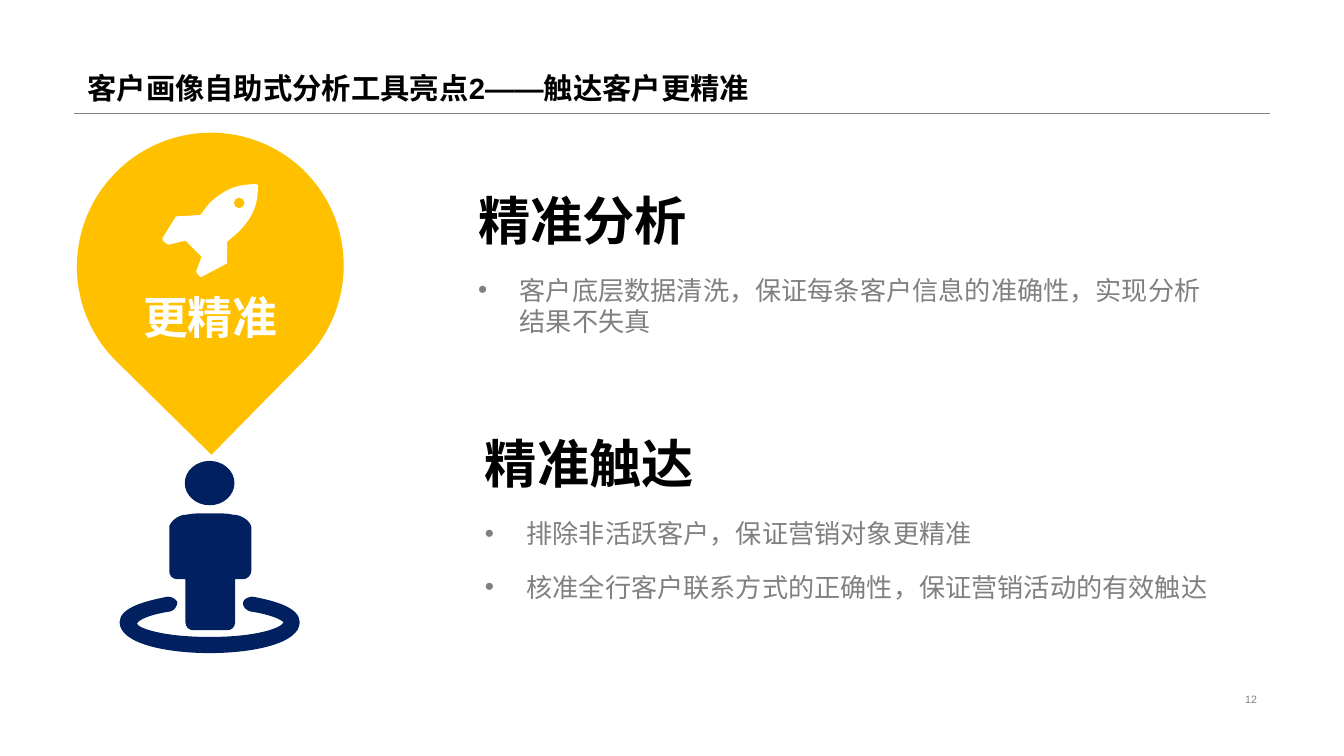
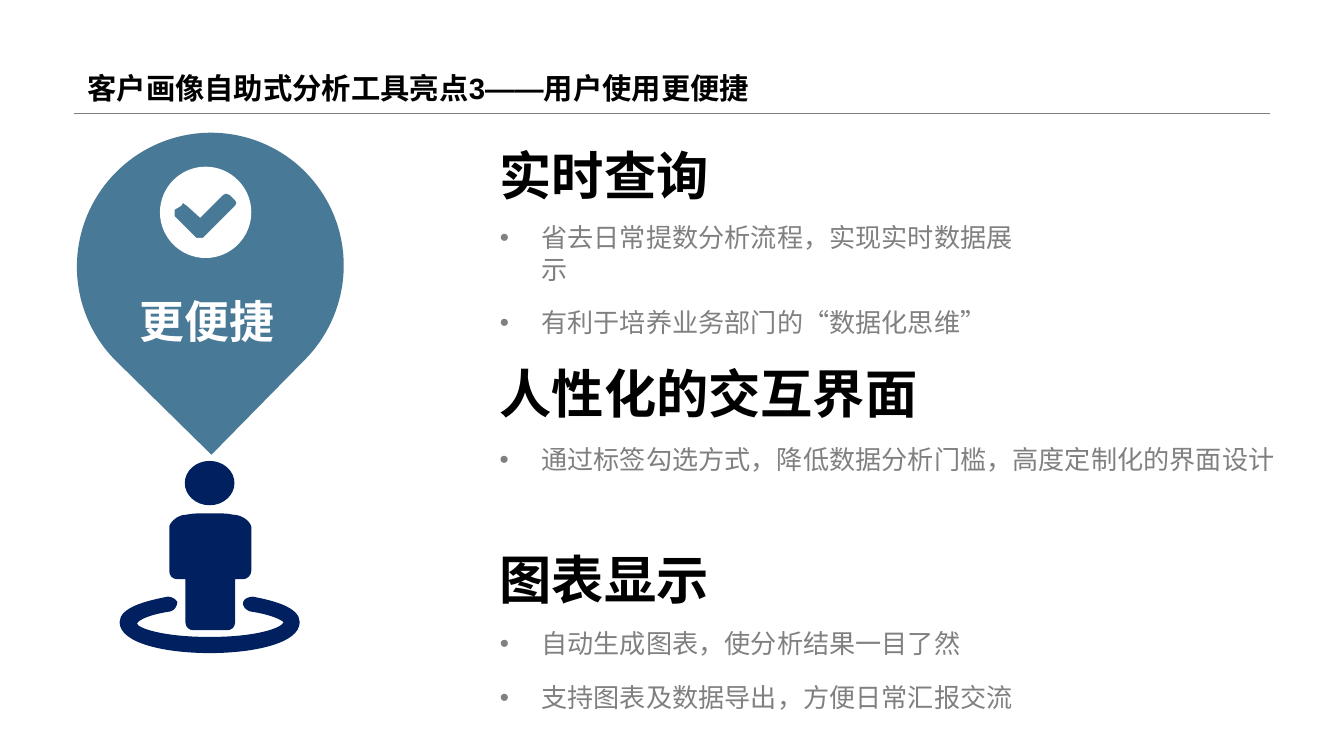
from pptx import Presentation
from pptx.dml.color import RGBColor
from pptx.enum.shapes import MSO_CONNECTOR, MSO_SHAPE
from pptx.enum.text import MSO_ANCHOR, MSO_AUTO_SIZE, PP_ALIGN
from pptx.oxml.ns import qn
from pptx.util import Emu, Inches, Pt

COLORS = {
    "black": "000000",
    "white": "FFFFFF",
    "gray": "808080",
    "navy": "002060",
    "yellow": "FFC000",
    "blue": "1B587C",
}
LATIN = "Arial"
CJK = "Noto Sans CJK SC"
COLUMNS = 100
WIDTH = Inches(10)
HEIGHT = Inches(5.625)
MARGIN = 5.5
RULE_Y = 8.4
INDENT = 3.1
HEAD_SIZE = 28
BODY_SIZE = 14

RING = [
    (22.3, 46.3),
    (22.3, 47.9, 18.8, 48.6, 15.6, 48.6),
    (12.4, 48.6, 8.9, 47.9, 8.9, 46.3),
    (8.9, 45.2, 10.9, 44.7, 12.5, 44.4),
    (12.8, 44.4, 13.1, 44.6, 13.2, 44.8),
    (13.2, 45.1, 13, 45.4, 12.7, 45.5),
    (10.7, 45.8, 10.2, 46.3, 10.2, 46.4),
    (10.2, 46.7, 12, 47.4, 15.6, 47.4),
    (19.2, 47.4, 21, 46.7, 21.1, 46.3),
    (21.1, 46.3, 20.6, 45.8, 18.6, 45.5),
    (18.3, 45.4, 18, 45.1, 18.1, 44.8),
    (18.1, 44.6, 18.5, 44.4, 18.8, 44.4),
    (20.4, 44.7, 22.3, 45.2, 22.3, 46.3),
]
BODY = [
    (13.2, 43.1), (13.8, 43.1), (13.8, 46.3),
    (13.8, 46.7, 14.1, 46.9, 14.4, 46.9), (16.9, 46.9),
    (17.2, 46.9, 17.5, 46.7, 17.5, 46.3), (17.5, 43.1), (18.1, 43.1),
    (18.4, 43.1, 18.7, 42.8, 18.7, 42.5), (18.7, 39.2),
    (18.7, 39, 18.2, 38.3, 17.3, 38.3),
    (17, 38.2, 16.3, 38.2, 15.6, 38.2),
    (14.9, 38.2, 14.3, 38.2, 13.9, 38.3),
    (13.1, 38.3, 12.6, 39, 12.6, 39.2), (12.6, 42.5),
    (12.6, 42.8, 12.8, 43.1, 13.2, 43.1),
]
ROCKET = [
    (17.7, 17.3),
    (17.5, 17.5, 17.2, 17.7, 16.9, 18), (16.9, 19.6), (15, 20.6),
    (14.9, 20.6), (14.7, 20.4), (14.6, 20.2), (15, 19.1), (13.8, 17.9),
    (12.6, 18.2), (12.5, 18.2), (12.1, 17.9), (12.1, 17.7), (13.1, 16.1),
    (14.9, 16), (15.6, 15.1),
    (16.7, 14.1, 17.6, 13.7, 19.1, 13.7),
    (19.2, 13.7, 19.2, 13.8, 19.2, 13.8),
    (19.2, 15.3, 18.8, 16.2, 17.7, 17.3),
]
TICK = [
    (17.5, 14.9), (17.1, 14.5), (16.8, 14.4), (16.6, 14.5), (14.9, 16.2),
    (13.9, 15.3), (13.6, 15.1), (13.5, 15.3), (13, 15.6), (13, 16.1),
    (14.6, 17.7), (14.9, 17.7), (15.1, 17.7), (17.5, 15.3), (17.6, 15.1),
]


def grid(n):
    return Emu(round(WIDTH * n / COLUMNS))


def rgb(name):
    return RGBColor.from_string(COLORS[name])


def oval(cx, cy, rx, ry):
    kx, ky = 0.55 * rx, 0.55 * ry
    left, right, top, bottom = cx - rx, cx + rx, cy - ry, cy + ry
    return [
        (right, cy),
        (right, cy + ky, cx + kx, bottom, cx, bottom),
        (cx - kx, bottom, left, cy + ky, left, cy),
        (left, cy - ky, cx - kx, top, cx, top),
        (cx + kx, top, right, cy - ky, right, cy),
    ]


def paint(sp, color):
    sp.fill.solid()
    sp.fill.fore_color.rgb = rgb(color)
    sp.line.fill.background()
    sp.shadow.inherit = False


def bend(sp, segments):
    for line, seg in zip(list(sp._element.iter(qn("a:lnTo"))), segments):
        if len(seg) == 2:
            continue
        curve = line.makeelement(qn("a:cubicBezTo"), {})
        for x, y in zip(seg[:4:2], seg[1:4:2]):
            pt = {"x": str(grid(x) - sp.left), "y": str(grid(y) - sp.top)}
            curve.append(line.makeelement(qn("a:pt"), pt))
        curve.append(line[0])
        line.getparent().replace(line, curve)


def add_outline(slide, contours, color):
    loops = [[(grid(s[-2]), grid(s[-1])) for s in c] for c in contours]
    builder = slide.shapes.build_freeform(*loops[0][0], scale=1.0)
    builder.add_line_segments(loops[0][1:], close=True)
    for loop in loops[1:]:
        builder.move_to(*loop[0])
        builder.add_line_segments(loop[1:], close=True)
    sp = builder.convert_to_shape()
    bend(sp, [seg for c in contours for seg in c[1:]])
    paint(sp, color)


def add_run(p, text, size, color, bold=False, font=LATIN):
    r = p.add_run()
    r.text = text
    r.font.size = Pt(size)
    r.font.bold = bold
    r.font.name = font
    r.font.color.rgb = rgb(color)
    ea = r._r.get_or_add_rPr().makeelement(qn("a:ea"), {"typeface": CJK})
    r.font._element.find(qn("a:latin")).addnext(ea)


def add_textbox(slide, x, y, w, h, wrap=True, inset=True):
    tf = slide.shapes.add_textbox(grid(x), grid(y), grid(w), grid(h)).text_frame
    tf.word_wrap = wrap
    if not inset:
        tf.margin_left = tf.margin_right = tf.margin_top = tf.margin_bottom = 0
    return tf


def add_bullet(p):
    pPr = p._p.get_or_add_pPr()
    pPr.set("marL", str(grid(INDENT)))
    pPr.set("indent", str(-grid(INDENT)))
    for tag, attrs in (("a:buFont", {"typeface": LATIN}), ("a:buChar", {"char": "•"})):
        pPr.append(pPr.makeelement(qn(tag), attrs))


def add_title(slide, text):
    sp = slide.shapes.title
    sp.left, sp.top = grid(MARGIN), 0
    sp.width, sp.height = grid(COLUMNS - 2 * MARGIN), grid(RULE_Y)
    tf = sp.text_frame
    tf.auto_size = MSO_AUTO_SIZE.NONE
    tf.vertical_anchor = MSO_ANCHOR.BOTTOM
    p = tf.paragraphs[0]
    p.alignment = PP_ALIGN.LEFT
    p.line_spacing = 0.9
    add_run(p, text, 15.7, "black", bold=True)

    rule = slide.shapes.add_connector(
        MSO_CONNECTOR.STRAIGHT, grid(MARGIN), grid(RULE_Y),
        grid(COLUMNS - MARGIN), grid(RULE_Y))
    rule.line.color.rgb = rgb("gray")
    rule.line.width = Pt(0.25)
    spPr = rule._element.spPr
    spPr.append(spPr.makeelement(qn("a:effectLst"), {}))


def add_page_number(slide, number):
    tf = add_textbox(slide, 70.6, 51.2, 23.9, 1.7)
    tf.vertical_anchor = MSO_ANCHOR.MIDDLE
    p = tf.paragraphs[0]
    p.alignment = PP_ALIGN.RIGHT
    add_run(p, number, 5.7, "gray")


def add_pin(slide, color, alpha=100):
    sp = slide.shapes.add_shape(
        MSO_SHAPE.TEAR, grid(5.7), grid(9.9), grid(19.9), grid(19.8))
    sp.rotation = 134.5
    paint(sp, color)
    if alpha < 100:
        clr = sp._element.spPr.find(qn("a:solidFill"))[0]
        clr.append(clr.makeelement(qn("a:alpha"), {"val": str(alpha * 1000)}))
    add_outline(slide, [RING, BODY, oval(15.6, 35.95, 1.85, 1.65)], "navy")


def add_pin_label(slide, text, y, w):
    p = add_textbox(slide, 10, y, w, 4.3, inset=False).paragraphs[0]
    p.alignment = PP_ALIGN.CENTER
    p.line_spacing = Pt(28.7)
    add_run(p, text, 24, "white", bold=True)


def add_section(slide, x, y, heading, gap, w, bullets, lines=None):
    head_w = len(heading) * HEAD_SIZE / 7.2 + 2
    p = add_textbox(slide, x, y, head_w, 6, wrap=False).paragraphs[0]
    p.line_spacing = Pt(33.6)
    add_run(p, heading, HEAD_SIZE, "black", bold=True, font=CJK)

    count = len(bullets)
    h = 1.1 + 2.4 * (lines or count) + 1.6 * (count - 1)
    tf = add_textbox(slide, x, y + gap, w, h)
    for i, text in enumerate(bullets):
        p = tf.add_paragraph() if i else tf.paragraphs[0]
        p.line_spacing = Pt(16.8)
        p.space_before = p.space_after = Pt(6)
        add_bullet(p)
        add_run(p, text, BODY_SIZE, "gray", font=CJK)


def new_slide(prs, title):
    slide = prs.slides.add_slide(prs.slide_layouts[5])
    add_title(slide, title)
    return slide


def build_precision(prs):
    slide = new_slide(prs, "客户画像自助式分析工具亮点2——触达客户更精准")
    add_page_number(slide, "12")
    add_pin(slide, "yellow")
    add_pin_label(slide, "更精准", 21.6, 11.3)
    add_outline(slide, [ROCKET, oval(17.8, 15.1, 0.4, 0.4)], "white")
    add_section(slide, 34.6, 13.5, "精准分析", 6.4, 57.3, [
        "客户底层数据清洗，保证每条客户信息的准确性，实现分析结果不失真"], lines=2)
    add_section(slide, 35.1, 31.6, "精准触达", 6.4, 60.7, [
        "排除非活跃客户，保证营销对象更精准",
        "核准全行客户联系方式的正确性，保证营销活动的有效触达"])


def build_convenience(prs):
    slide = new_slide(prs, "客户画像自助式分析工具亮点3——用户使用更便捷")
    add_pin(slide, "blue", alpha=80)
    add_pin_label(slide, "更便捷", 21.9, 10.8)
    add_outline(slide, [oval(15.3, 15.8, 3.4, 3.4), TICK], "white")
    add_section(slide, 36.2, 10.2, "实时查询", 5.8, 42.1, [
        "省去日常提数分析流程，实现实时数据展示",
        "有利于培养业务部门的“数据化思维”"])
    add_section(slide, 36.2, 26.4, "人性化的交互界面", 6.1, 60.7, [
        "通过标签勾选方式，降低数据分析门槛，高度定制化的界面设计"])
    add_section(slide, 36.2, 40.2, "图表显示", 6, 61.9, [
        "自动生成图表，使分析结果一目了然",
        "支持图表及数据导出，方便日常汇报交流"])


def main():
    prs = Presentation()
    prs.slide_width, prs.slide_height = WIDTH, HEIGHT
    build_precision(prs)
    build_convenience(prs)
    prs.save("out.pptx")


if __name__ == "__main__":
    main()
